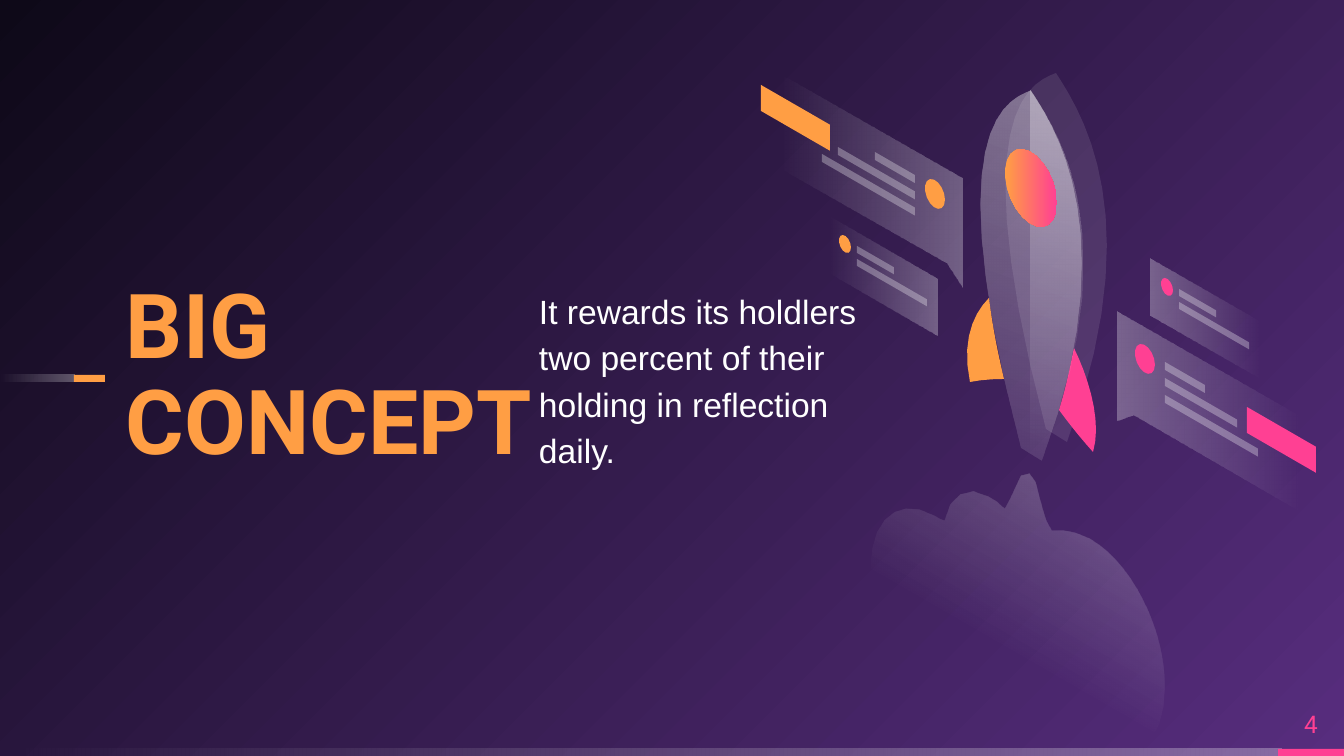
import math

import pptx
import pptx.dml.color
import pptx.enum.shapes
import pptx.enum.text
import pptx.util
from lxml import etree
from pptx.oxml.ns import qn

PX = 914400 / 134.4  # EMU in one px
WIDE, HIGH = 1344, 756
SLOPE = math.tan(math.radians(30))  # slant of the panels
TALL = 1.38  # height of a slanted disc against its width

HUES = {
    "white": "FFFFFF", "pink": "FF4093", "orange": "FF9E44",
    "violet": "572D7E", "night": "0E0918",
}

# Fills: stops of (position, colour, opacity), then the clockwise angle
FILLS = {
    "pink": ([(0, "pink", 100)], 0),
    "orange": ([(0, "orange", 100)], 0),
    "line": ([(0, "white", 30)], 0),
    "ghost": ([(0, "white", 10)], 0),
    "hull": ([(0, "white", 40), (99, "white", 10)], 110),
    "side": ([(0, "white", 30), (100, "white", 0)], 90),
    "glass": ([(0, "orange", 100), (100, "pink", 100)], 0),
    "smoke": ([(0, "white", 30), (59, "white", 0)], 120),
    "left": ([(0, "white", 30), (100, "white", 0)], 180),
    "right": ([(0, "white", 30), (100, "white", 0)], 0),
}

# Text: words, box, font, size, colour, bold, line spacing, space after
TITLE = ("BIG CONCEPT", (126, 266, 413, 223), "Roboto", 48, "orange", True, 0.9, 0)
BODY = ("It rewards its holdlers two percent of their holding in reflection daily.",
        (539, 266, 351, 223), "Arial", 18, "white", False, 1.15, 8)
PAGE = ("4", (1278, 698, 66, 51), "Roboto", 13, "pink", False, 1.0, 0)

# Footer and title rules: fill, box
RULES = [
    ("left", (0, 749, 1282, 7)),
    ("pink", (1278, 749, 66, 7)),
    ("left", (0, 375, 75, 7)),
    ("orange", (74, 375, 31, 7)),
]

# Outlines: a pair is a corner, six numbers are a Bezier curve
HULL = [(1046, 429), (962, 110, 1031, 83, 1056, 73),
        (1082, 113, 1150, 219, 1067, 442)]
SIDE = [(1042, 460), (1126, 238, 1058, 132, 1031, 91), (1031, 454)]
PINK_FIN = [(1059, 410), (1070, 425, 1083, 441, 1093, 452),
            (1102, 422, 1089, 379, 1074, 348), (1070, 367, 1066, 388, 1059, 410)]
GOLD_FIN = [(989, 298), (974, 313, 961, 340, 970, 382),
            (980, 380, 992, 379, 1004, 379), (997, 349, 992, 323, 989, 298)]
SMOKE = [
    (1052, 531), (1045, 521, 1043, 509, 1040, 498),
    (1038, 487, 1035, 477, 1030, 474), (1023, 470, 1019, 478, 1015, 489),
    (1012, 496, 1009, 503, 1005, 509), (1000, 504, 995, 500, 989, 497),
    (968, 484, 949, 496, 945, 521), (941, 520, 938, 518, 935, 516),
    (899, 496, 871, 519, 871, 569), (871, 617, 899, 675, 935, 695),
    (970, 715, 999, 694, 1000, 646), (1007, 659, 1015, 669, 1024, 675),
    (1027, 676, 1030, 677, 1032, 677), (1046, 708, 1066, 734, 1090, 747),
    (1132, 771, 1165, 745, 1165, 687), (1165, 629, 1132, 563, 1090, 539),
    (1075, 531, 1063, 530, 1052, 531),
]
RIGHT = [(1118, 312), (1301, 417), (1301, 512), (1134, 415), (1118, 421)]
LEFT = [(962, 179), (780, 74), (780, 168), (946, 263), (962, 288)]


def shift(path, dx, dy):
    return [tuple(n + (dy if i % 2 else dx) for i, n in enumerate(step))
            for step in path]


def trace(path):
    """Turn corners and curves into points, more of them on longer curves."""
    pts = [path[0]]
    for step in path[1:]:
        if len(step) == 2:
            pts.append(step)
            continue
        knots = [pts[-1], step[:2], step[2:4], step[4:]]
        parts = min(14, max(2, round(math.dist(knots[0], knots[3]) / 12)))
        for i in range(1, parts + 1):
            t = i / parts
            mix = [(1 - t) ** 3, 3 * t * (1 - t) ** 2, 3 * t * t * (1 - t), t ** 3]
            pts.append(tuple(sum(m * k[a] for m, k in zip(mix, knots))
                             for a in (0, 1)))
    return pts


def slant(x, y, w, h):
    drop = w * SLOPE
    return [(x, y), (x + w, y + drop), (x + w, y + drop + h), (x, y + h)]


def disc(x, y, r):
    parts = 10 + r // 2
    turns = [2 * math.pi * i / parts for i in range(parts)]
    return [(x + r * math.cos(t), y + r * (SLOPE * math.cos(t) + TALL * math.sin(t)))
            for t in turns]


# Art from back to front: fill, outline
ART = [
    ("ghost", HULL),
    ("pink", PINK_FIN),
    ("orange", GOLD_FIN),
    ("hull", shift(HULL, -25, 18)),
    ("side", SIDE),
    ("glass", disc(1031, 188, 26)),
    ("smoke", SMOKE),
    # Large right panel
    ("right", RIGHT),
    ("pink", slant(1247, 407, 69, 26)),
    ("line", slant(1165, 362, 40, 8)),
    ("line", slant(1165, 378, 72, 8)),
    ("line", slant(1165, 395, 93, 8)),
    ("pink", disc(1145, 359, 10)),
    # Large left panel
    ("left", LEFT),
    ("orange", slant(761, 85, 69, 26)),
    ("line", slant(875, 152, 40, 8)),
    ("line", slant(838, 147, 77, 8)),
    ("line", slant(822, 154, 93, 8)),
    ("orange", disc(935, 194, 10)),
]
# Small panels: fill, dot colour, left, top
for fade, hue, x, y in [("left", "orange", 829, 216), ("right", "pink", 1151, 259)]:
    ART += [
        (fade, slant(x, y, 109, 57)),
        ("line", slant(x + 28, y + 30, 37, 7)),
        ("line", slant(x + 28, y + 43, 70, 7)),
        (hue, disc(x + 16, y + 28, 6)),
    ]


def emu(n):
    return pptx.util.Emu(round(n * PX))


def tint(hue):
    return pptx.dml.color.RGBColor.from_string(HUES[hue])


def blend(fill, stops, angle):
    fill.gradient()
    fill.gradient_angle = (360 - angle) % 360
    for stop, (spot, hue, _) in zip(fill.gradient_stops, stops):
        stop.position = spot / 100
        stop.color.rgb = tint(hue)


def paint(shape, name):
    stops, angle = FILLS[name]
    if len(stops) == 1:
        shape.fill.solid()
        shape.fill.fore_color.rgb = tint(stops[0][1])
    else:
        blend(shape.fill, stops, angle)
    for node, stop in zip(shape.element.spPr.iter(qn("a:srgbClr")), stops):
        if stop[2] < 100:
            etree.SubElement(node, qn("a:alpha"), val=str(stop[2] * 1000))
    shape.line.fill.background()
    shape.shadow.inherit = False


def write(shape, item, align):
    words, box, face, size, hue, bold, lead, after = item
    shape.left, shape.top, shape.width, shape.height = map(emu, box)
    frame = shape.text_frame
    frame.text = words
    frame.word_wrap = True
    frame.auto_size = pptx.enum.text.MSO_AUTO_SIZE.NONE
    frame.vertical_anchor = pptx.enum.text.MSO_ANCHOR.MIDDLE
    frame.margin_left = frame.margin_right = 0
    frame.margin_top = frame.margin_bottom = 0
    para = frame.paragraphs[0]
    para.alignment = align
    para.line_spacing = lead
    para.space_before = pptx.util.Pt(0)
    para.space_after = pptx.util.Pt(after)
    para.font.name, para.font.size, para.font.bold = face, pptx.util.Pt(size), bold
    para.font.color.rgb = tint(hue)


deck = pptx.Presentation()
deck.slide_width, deck.slide_height = emu(WIDE), emu(HIGH)
slide = deck.slides.add_slide(deck.slide_layouts[0])
shapes = slide.shapes

# Background glow from the lower right corner
blend(slide.background.fill, [(0, "violet", 100), (100, "night", 100)], 0)
grad = next(slide.element.iter(qn("a:gradFill")))
grad.remove(grad.find(qn("a:lin")))
glow = etree.SubElement(grad, qn("a:path"), path="circle")
etree.SubElement(glow, qn("a:fillToRect"), l="100000", t="100000")

# Rules
for name, box in RULES:
    paint(shapes.add_shape(pptx.enum.shapes.MSO_SHAPE.RECTANGLE, *map(emu, box)), name)

# Text
ALIGN = pptx.enum.text.PP_ALIGN
write(shapes.title, TITLE, ALIGN.LEFT)
write(slide.placeholders[1], BODY, ALIGN.LEFT)
write(shapes.add_textbox(0, 0, 0, 0), PAGE, ALIGN.CENTER)

# Rocket, smoke and panels
for name, path in ART:
    pts = [(emu(x), emu(y)) for x, y in trace(path)]
    pen = shapes.build_freeform(*pts[0], scale=1.0)
    pen.add_line_segments(pts[1:], close=True)
    paint(pen.convert_to_shape(), name)

deck.save("out.pptx")
